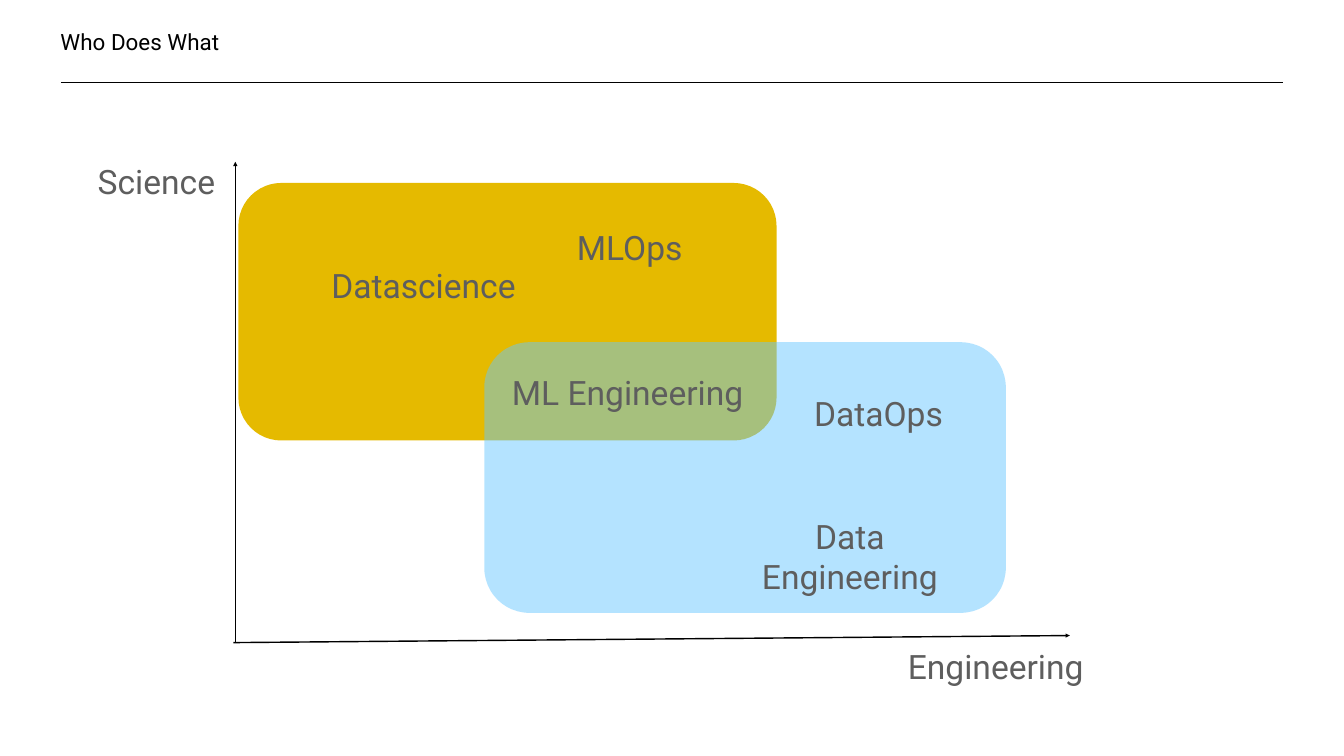
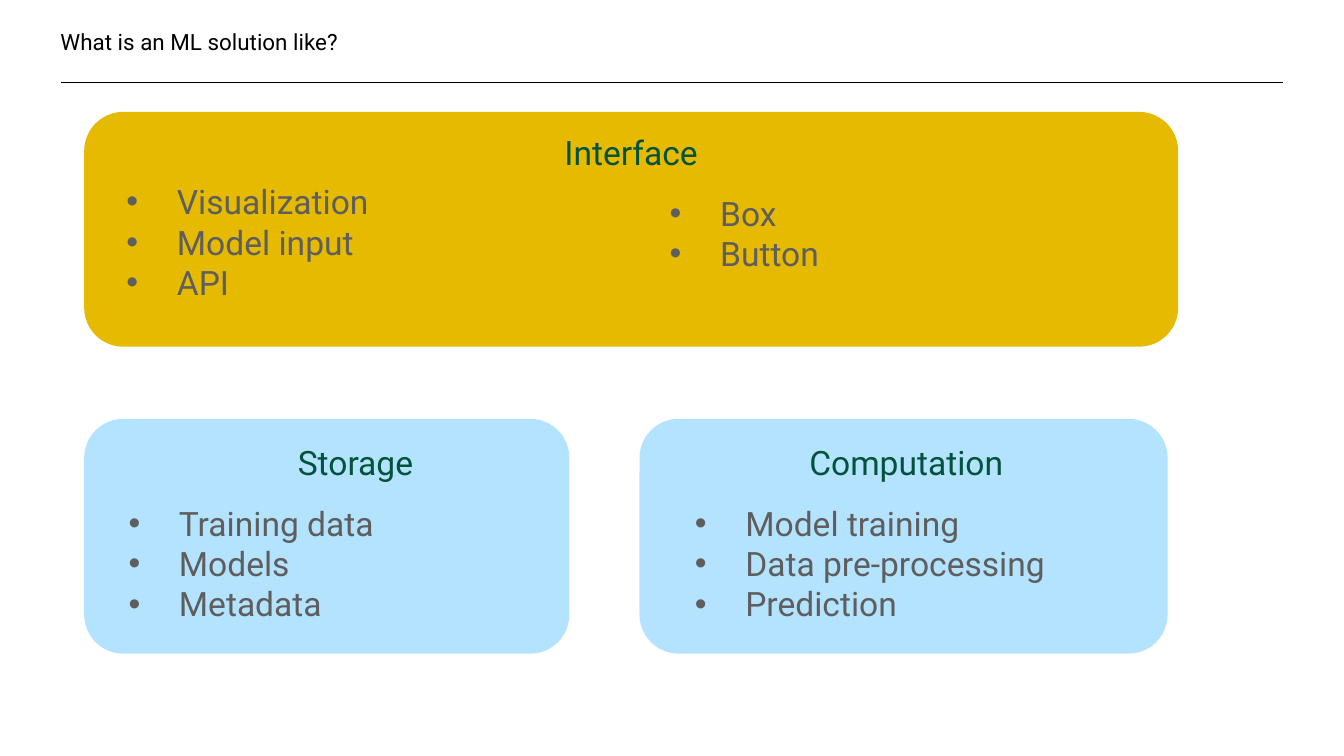
from lxml import etree
from pptx import Presentation
from pptx.dml.color import RGBColor
from pptx.enum.shapes import MSO_CONNECTOR, MSO_SHAPE
from pptx.enum.text import MSO_ANCHOR, MSO_AUTO_SIZE, PP_ALIGN
from pptx.oxml.ns import qn
from pptx.util import Inches, Pt

STRAIGHT = MSO_CONNECTOR.STRAIGHT
ROUNDED = MSO_SHAPE.ROUNDED_RECTANGLE
MIDDLE = MSO_ANCHOR.MIDDLE
FIT_TEXT = MSO_AUTO_SIZE.SHAPE_TO_FIT_TEXT
LEFT, CENTER = PP_ALIGN.LEFT, PP_ALIGN.CENTER

FONT = "Roboto"
BLACK = RGBColor(0x00, 0x00, 0x00)
GRAY = RGBColor(0x5E, 0x5E, 0x5E)
GREEN = RGBColor(0x03, 0x52, 0x3C)
GOLD = RGBColor(0xE5, 0xBA, 0x00)
BLUE = RGBColor(0x66, 0xC7, 0xFF)
OPACITY = {BLUE: 49}  # percent; other fills are solid

LINE_HEIGHT = 0.8
LABEL_WIDTH = 5.05
LIST_WIDTH = 8.69

# Content: boxes are (left, top, width, height), in inches
ROLES_TITLE = "Who Does What"
AXES = [((4.63, 12.75), (21.23, 12.61)), ((4.67, 12.74), (4.67, 3.21))]
AXIS_LABELS = [
    ("Science", (1.5, 3.03, 3.21, 1.11)),
    ("Engineering", (17.38, 12.67, 4.76, 1.11)),
]
ROLE_AREAS = [
    ((4.73, 3.63, 10.68, 5.11), GOLD),
    ((9.61, 6.79, 10.35, 5.37), BLUE),
]
ROLES = [
    ("Datascience", (5.88, 5.1, LABEL_WIDTH, 1.11)),
    ("Data Engineering", (14.34, 10.08, LABEL_WIDTH, 1.91)),
    ("ML Engineering", (9.93, 6.83, LABEL_WIDTH, 1.91)),
    ("MLOps", (9.97, 4.35, LABEL_WIDTH, 1.11)),
    ("DataOps", (15.27, 7.64, 4.33, 1.11)),
]

SOLUTION_TITLE = "What is an ML solution like?"
# Heading, heading position, card box, fill
CARDS = [
    ("Interface", (10, 2.46), (1.67, 2.22, 21.71, 4.66), GOLD),
    ("Storage", (4.53, 8.62), (1.67, 8.31, 9.63, 4.66), BLUE),
    ("Computation", (15.46, 8.61), (12.69, 8.31, 10.48, 4.66), BLUE),
]
# List position, items
LISTS = [
    ((2.36, 3.44), ["Visualization", "Model input", "API"]),
    ((13.14, 3.67), ["Box", "Button"]),
    ((2.4, 9.82), ["Training data", "Models", "Metadata"]),
    ((13.64, 9.82), ["Model training", "Data pre-processing", "Prediction"]),
]


def add_bullet(paragraph):
    properties = paragraph._p.get_or_add_pPr()
    properties.set("marL", str(Inches(1)))
    properties.set("indent", str(-Inches(1)))
    etree.SubElement(properties, qn("a:buFont")).set("typeface", "Arial")
    etree.SubElement(properties, qn("a:buChar")).set("char", "•")


def add_text(shapes, lines, box, size=48, color=GRAY, align=CENTER,
             inset=0.15, bullets=False, grow=True):
    text_box = shapes.add_textbox(*map(Inches, box))
    frame = text_box.text_frame
    frame.word_wrap = True
    frame.vertical_anchor = MIDDLE
    frame.margin_left = frame.margin_right = Inches(inset)
    frame.margin_top = frame.margin_bottom = Inches(inset)
    if grow:
        frame.auto_size = FIT_TEXT
    frame.text = "\n".join(lines)
    for paragraph in frame.paragraphs:
        paragraph.alignment = align
        font = paragraph.runs[0].font
        font.name, font.size, font.color.rgb = FONT, Pt(size), color
        if bullets:
            add_bullet(paragraph)


def add_line(shapes, start, end, width, arrow=False):
    line = shapes.add_connector(STRAIGHT, *map(Inches, start + end))
    line.line.color.rgb = BLACK
    line.line.width = Pt(width)
    if arrow:
        outline = line.line._get_or_add_ln()
        etree.SubElement(outline, qn("a:tailEnd")).set("type", "triangle")
    etree.SubElement(line._element.spPr, qn("a:effectLst"))


def add_area(shapes, box, color):
    area = shapes.add_shape(ROUNDED, *map(Inches, box))
    area.shadow.inherit = False
    area.line.fill.background()
    area.fill.solid()
    area.fill.fore_color.rgb = color
    if color in OPACITY:
        color_element = area._element.spPr.find(".//" + qn("a:srgbClr"))
        alpha = etree.SubElement(color_element, qn("a:alpha"))
        alpha.set("val", str(OPACITY[color] * 1000))


def add_titled_slide(presentation, title):
    slide = presentation.slides.add_slide(presentation.slide_layouts[6])
    add_line(slide.shapes, (1.21, 1.62), (25.46, 1.62), 0.25)
    add_text(slide.shapes, [title], (1.15, 0.18, 17.18, 1.28), size=32,
             color=BLACK, align=LEFT, inset=0.05, grow=False)
    return slide


def build_roles(presentation):
    shapes = add_titled_slide(presentation, ROLES_TITLE).shapes
    axes = shapes.add_group_shape()
    for start, end in AXES:
        add_line(axes.shapes, start, end, 2, arrow=True)
    for label, box in AXIS_LABELS:
        add_text(shapes, [label], box)
    for box, color in ROLE_AREAS:
        add_area(shapes, box, color)
    for role, box in ROLES:
        add_text(shapes, [role], box)


def build_solution(presentation):
    shapes = add_titled_slide(presentation, SOLUTION_TITLE).shapes
    for heading, position, box, color in CARDS:
        card = shapes.add_group_shape()
        add_area(card.shapes, box, color)
        add_text(card.shapes, [heading], position + (LABEL_WIDTH, 1.11),
                 color=GREEN)
    for position, items in LISTS:
        height = 0.31 + LINE_HEIGHT * len(items)
        add_text(shapes, items, position + (LIST_WIDTH, height),
                 align=LEFT, bullets=True)


def main():
    presentation = Presentation()
    presentation.slide_width = Inches(26.67)
    presentation.slide_height = Inches(15)
    build_roles(presentation)
    build_solution(presentation)
    presentation.save("out.pptx")


if __name__ == "__main__":
    main()
